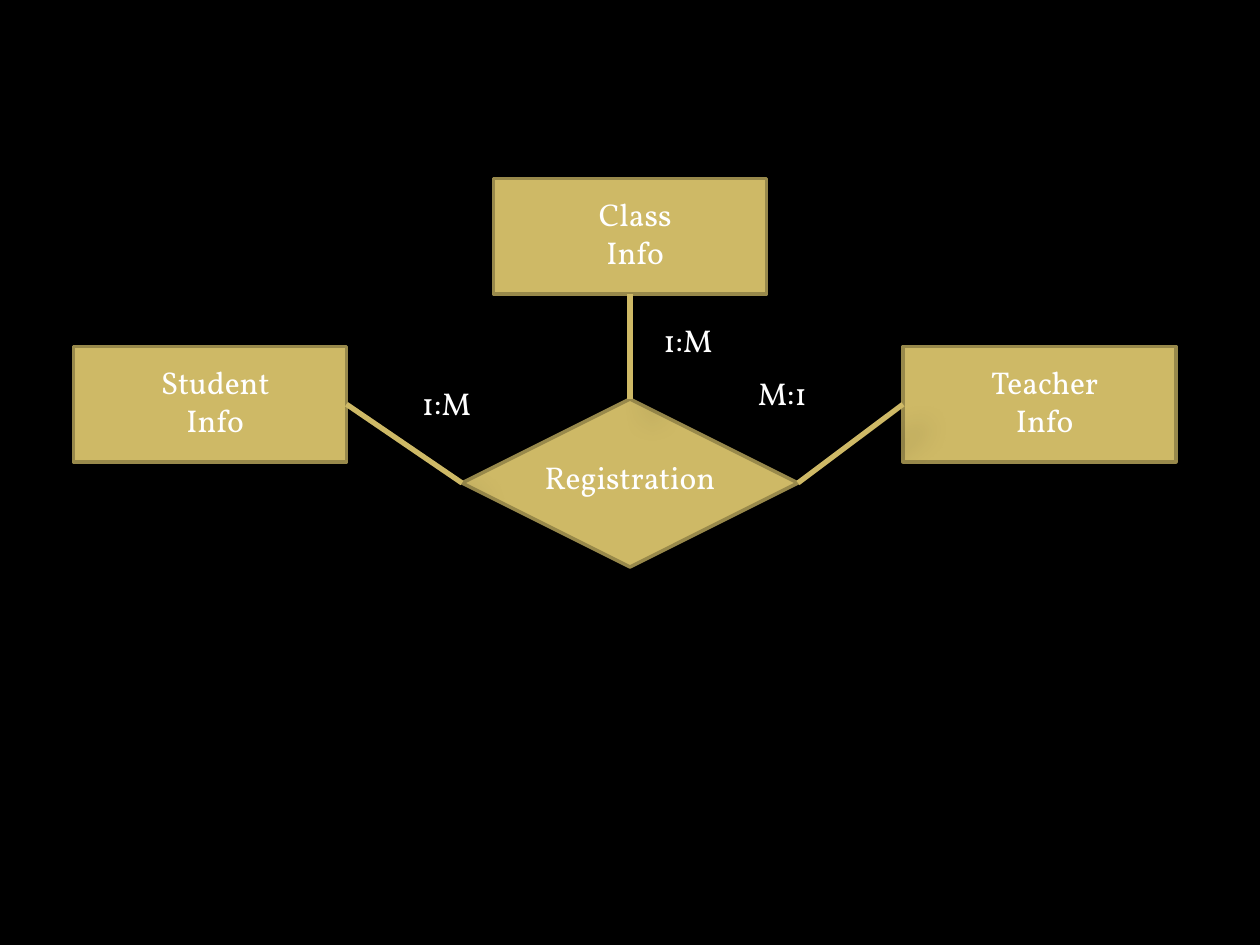
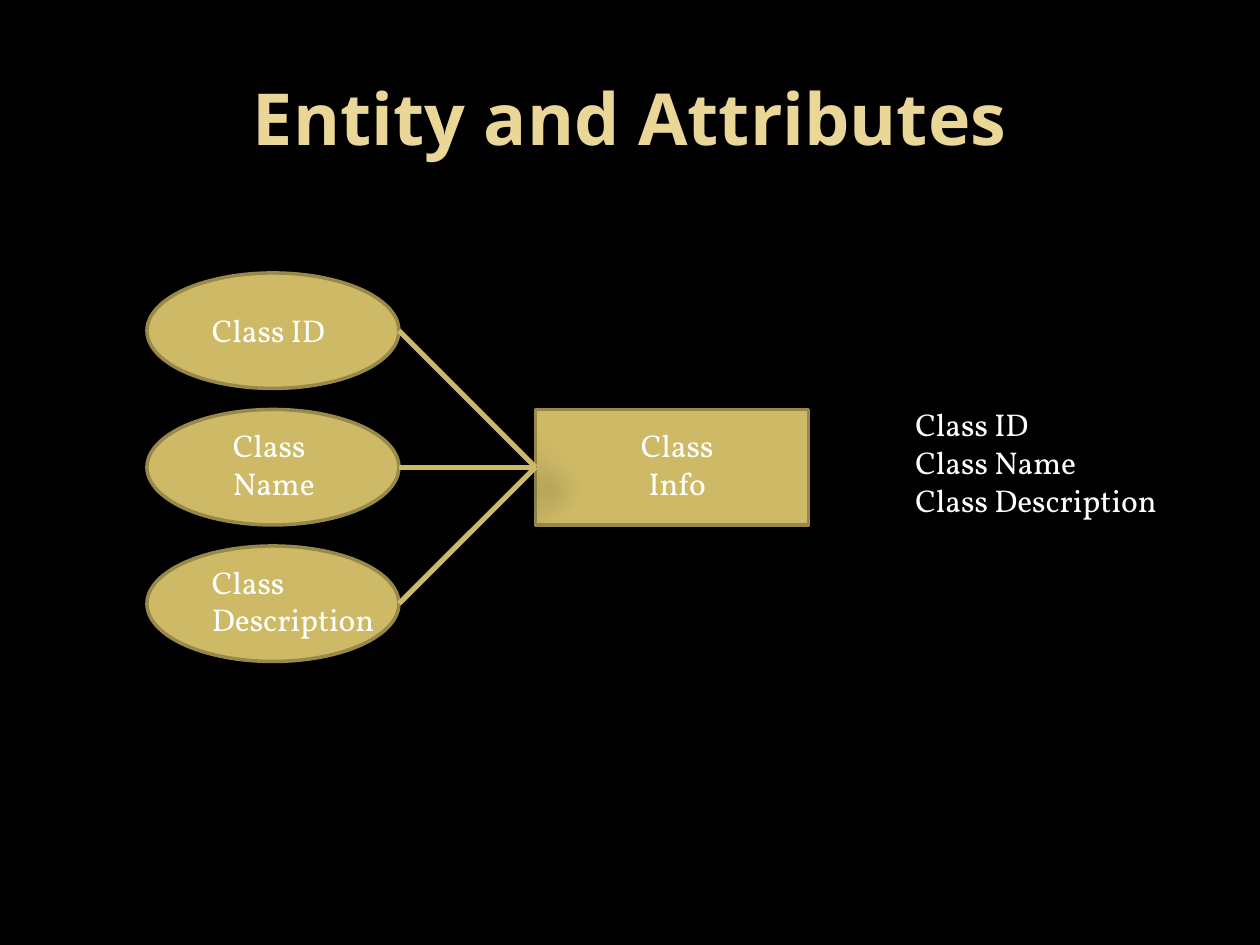
from lxml import etree
from pptx import Presentation
from pptx.dml.color import RGBColor
from pptx.enum.shapes import MSO_CONNECTOR, MSO_SHAPE
from pptx.enum.text import MSO_ANCHOR, MSO_AUTO_SIZE, PP_ALIGN
from pptx.oxml import parse_xml
from pptx.util import Inches, Pt

BLACK = RGBColor(0x00, 0x00, 0x00)
WHITE = RGBColor(0xFF, 0xFF, 0xFF)
GOLD = RGBColor(0xCE, 0xB9, 0x66)
EDGE = RGBColor(0x98, 0x89, 0x4B)
PALE = RGBColor(0xEA, 0xD6, 0x96)
RECT, OVAL, GEM = MSO_SHAPE.RECTANGLE, MSO_SHAPE.OVAL, MSO_SHAPE.DIAMOND
STRAIGHT = MSO_CONNECTOR.STRAIGHT
LEFT, MID = PP_ALIGN.LEFT, PP_ALIGN.CENTER
BODY, HEAD = "Vollkorn", "Noto Sans"

SHADOW = (
    '<a:effectLst xmlns:a="http://schemas.openxmlformats.org/drawingml/2006/main">'
    f'<a:outerShdw blurRad="{Pt(15)}" dist="{Pt(18)}" dir="2700000" rotWithShape="0">'
    '<a:srgbClr val="000000"><a:alpha val="26000"/></a:srgbClr>'
    '</a:outerShdw></a:effectLst>'
)

# The slide is a grid of 120 columns and 90 rows.
COLS, ROWS = 120, 90
CELL = Inches(10) // COLS
WIDE, TALL = 26, 11   # entity box
OVAL_WIDE = 24
LINE, PAIR = 4.8, 8.5  # heights of one and two lines of text


def write(slide, text, box, align=LEFT, font=BODY, size=18, color=WHITE, bold=False):
    area = slide.shapes.add_textbox(*[round(n * CELL) for n in box])
    frame = area.text_frame
    frame.word_wrap = True
    frame.auto_size = MSO_AUTO_SIZE.NONE
    frame.text = text
    for para in frame.paragraphs:
        para.alignment = align
        para.font.name, para.font.size = font, Pt(size)
        para.font.color.rgb, para.font.bold = color, bold
    return frame


def draw(slide, nodes, links):
    """Add the gold shapes, then the lines that join them."""
    for kind, *box in nodes:
        node = slide.shapes.add_shape(kind, *[n * CELL for n in box])
        node.shadow.inherit = False
        node.fill.solid()
        node.fill.fore_color.rgb = GOLD
        node.line.color.rgb, node.line.width = EDGE, Pt(2)
    for ends in links:
        link = slide.shapes.add_connector(STRAIGHT, *[round(n * CELL) for n in ends])
        link.line.color.rgb, link.line.width = GOLD, Pt(3)
        link._element.spPr.append(parse_xml(SHADOW))


deck = Presentation()
deck.slide_width, deck.slide_height = COLS * CELL, ROWS * CELL
pages = [deck.slides.add_slide(deck.slide_layouts[6]) for _ in range(2)]
for page in pages:
    page.background.fill.solid()
    page.background.fill.fore_color.rgb = BLACK
chart, detail = pages

# Slide 1: three entities around one relation
people = [("Class", 47, 17), ("Teacher", 86, 33), ("Student", 7, 33)]
gem_x, gem_y, gem_w, gem_h = 44, 38, 32, 16
side = 33 + TALL / 2
waist = gem_y + gem_h / 2
draw(
    chart,
    [(GEM, gem_x, gem_y, gem_w, gem_h)]
    + [(RECT, x, y, WIDE, TALL) for _, x, y in people],
    [
        (7 + WIDE, side, gem_x, waist),
        (COLS / 2, 17 + TALL, COLS / 2, gem_y),
        (86, side, gem_x + gem_w, waist),
    ],
)
for name, x, y in people:
    write(chart, f"{name}\nInfo", (x + 7, y + 1, 13, PAIR), MID)
write(chart, "Registration", (50, 43, 20, LINE), MID)
for ratio, x, y in [("M:1", 71, 35), ("1:M", 62, 30), ("1:M", 39, 36)]:
    write(chart, ratio, (x, y, 9, PAIR))

# Slide 2: one entity and its attributes
title = write(detail, "Entity and Attributes", (6, 3.6, 108, 15), MID, HEAD, 41, PALE, True)
title.vertical_anchor = MSO_ANCHOR.MIDDLE
left, top, step = 14, 26, 13
hub_x, hub_y = 51, top + step
tops = [top + step * i for i in range(3)]
draw(
    detail,
    [(RECT, hub_x, hub_y, WIDE, TALL)]
    + [(OVAL, left, y, OVAL_WIDE, TALL) for y in tops],
    [(left + OVAL_WIDE, y + TALL / 2, hub_x, hub_y + TALL / 2) for y in tops],
)
write(detail, "Class\nInfo", (hub_x + 7, hub_y + 1, 13, PAIR), MID)
fields = ["Class ID", "Class Name", "Class Description"]
spots = [(19, 29, 14, LINE), (21, 40, 14, PAIR), (19, 53, 18, PAIR)]
for field, spot in zip(fields, spots):
    write(detail, field, spot)
write(detail, "\n".join(fields), (86, 38, 27, 12))

deck.save("out.pptx")
